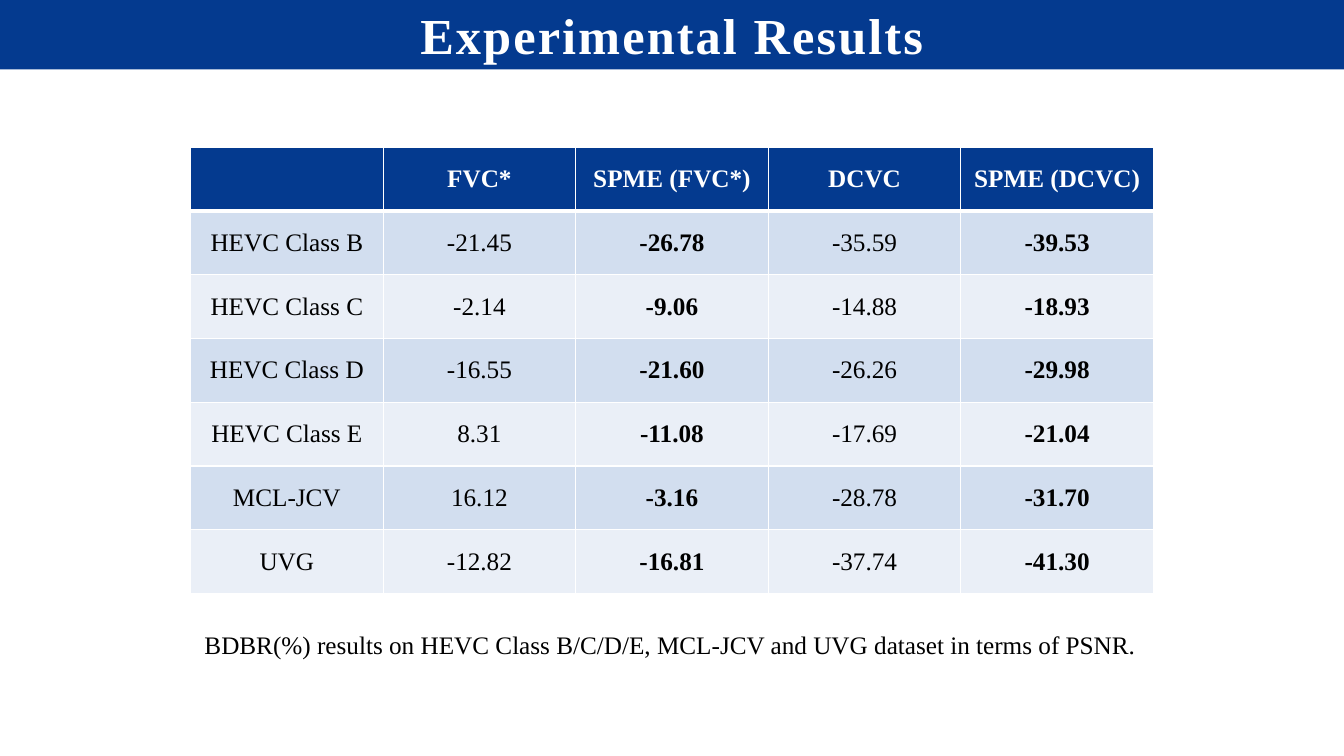
from dataclasses import dataclass

from lxml import etree
from pptx import Presentation
from pptx.dml.color import RGBColor
from pptx.enum.shapes import MSO_SHAPE
from pptx.enum.text import MSO_ANCHOR, MSO_AUTO_SIZE, PP_ALIGN
from pptx.oxml.ns import qn
from pptx.util import Inches, Pt

RECTANGLE = MSO_SHAPE.RECTANGLE
MIDDLE = MSO_ANCHOR.MIDDLE
CENTER, LEFT = PP_ALIGN.CENTER, PP_ALIGN.LEFT
GROW = MSO_AUTO_SIZE.SHAPE_TO_FIT_TEXT

FONT = "Times New Roman"
NAVY, WHITE, BLACK = "043A8F", "FFFFFF", "000000"
BANDS = ("D2DEEF", "EAEFF7")

# Slide and table grid, in inches
SLIDE_WIDTH, SLIDE_HEIGHT = 13.33, 7.5
COLUMN, ROW = 1.91, 4.43 / 7
TABLE_TOP = 1.46

HEADINGS = ("", "FVC*", "SPME (FVC*)", "DCVC", "SPME (DCVC)")
BOLD_COLUMNS = (2, 4)


@dataclass(frozen=True)
class Result:
    dataset: str
    rates: tuple[str, str, str, str]


@dataclass(frozen=True)
class TextStyle:
    size: int
    color: str
    bold: bool = False
    spacing: float = 0


RESULTS = (
    Result("HEVC Class B", ("-21.45", "-26.78", "-35.59", "-39.53")),
    Result("HEVC Class C", ("-2.14", "-9.06", "-14.88", "-18.93")),
    Result("HEVC Class D", ("-16.55", "-21.60", "-26.26", "-29.98")),
    Result("HEVC Class E", ("8.31", "-11.08", "-17.69", "-21.04")),
    Result("MCL-JCV", ("16.12", "-3.16", "-28.78", "-31.70")),
    Result("UVG", ("-12.82", "-16.81", "-37.74", "-41.30")),
)


def paint(fill, color: str) -> None:
    fill.solid()
    fill.fore_color.rgb = RGBColor.from_string(color)


def write(frame, text: str, style: TextStyle, alignment=CENTER) -> None:
    paragraph = frame.paragraphs[0]
    paragraph.alignment = alignment
    run = paragraph.add_run()
    run.text = text
    run.font.name = FONT
    run.font.size = Pt(style.size)
    run.font.bold = style.bold
    run.font.color.rgb = RGBColor.from_string(style.color)
    if style.spacing:
        run._r.get_or_add_rPr().set("spc", str(round(style.spacing * 100)))


def add_borders(cell, top: float, bottom: float) -> None:
    """Draw white borders; the line elements must precede the cell fill."""
    properties = cell._tc.get_or_add_tcPr()
    widths = {"a:lnL": 1, "a:lnR": 1, "a:lnT": top, "a:lnB": bottom}
    for position, (tag, width) in enumerate(widths.items()):
        line = etree.Element(qn(tag), w=str(Pt(width)))
        fill = etree.SubElement(line, qn("a:solidFill"))
        etree.SubElement(fill, qn("a:srgbClr"), val=WHITE)
        properties.insert(position, line)


def add_title_bar(slide) -> None:
    bar = slide.shapes.add_shape(
        RECTANGLE, 0, Inches(-0.01), Inches(SLIDE_WIDTH), Inches(0.7))
    bar.shadow.inherit = False
    paint(bar.fill, NAVY)
    bar.line.fill.background()
    frame = bar.text_frame
    frame.word_wrap = True
    frame.auto_size = GROW
    frame.vertical_anchor = MIDDLE
    frame.margin_left = frame.margin_right = Inches(0.05)
    frame.margin_top = frame.margin_bottom = Inches(0.05)
    write(frame, "Experimental Results", TextStyle(36, WHITE, True, 1.5))


def add_results_table(slide) -> None:
    rows = [HEADINGS] + [(result.dataset, *result.rates) for result in RESULTS]
    width, height = COLUMN * len(HEADINGS), ROW * len(rows)
    table = slide.shapes.add_table(
        len(rows), len(HEADINGS), Inches((SLIDE_WIDTH - width) / 2),
        Inches(TABLE_TOP), Inches(width), Inches(height)).table
    for row_index, values in enumerate(rows):
        header = row_index == 0
        for column_index, value in enumerate(values):
            cell = table.cell(row_index, column_index)
            cell.vertical_anchor = MIDDLE
            paint(cell.fill, NAVY if header else BANDS[(row_index - 1) % 2])
            add_borders(cell, top=3 if row_index == 1 else 1,
                        bottom=3 if header else 1)
            if value:
                bold = header or column_index in BOLD_COLUMNS
                write(cell.text_frame, value,
                      TextStyle(18, WHITE if header else BLACK, bold))


def add_caption(slide) -> None:
    width = 9.47
    box = slide.shapes.add_textbox(
        Inches((SLIDE_WIDTH - width) / 2), Inches(6.19), Inches(width), Inches(0.4))
    box.text_frame.word_wrap = True
    box.text_frame.auto_size = GROW
    write(box.text_frame,
          "BDBR(%) results on HEVC Class B/C/D/E, MCL-JCV and UVG dataset "
          "in terms of PSNR.", TextStyle(18, BLACK), LEFT)


def main() -> None:
    presentation = Presentation()
    presentation.slide_width = Inches(SLIDE_WIDTH)
    presentation.slide_height = Inches(SLIDE_HEIGHT)
    slide = presentation.slides.add_slide(presentation.slide_layouts[6])
    # Title, table and caption, from top to bottom
    add_title_bar(slide)
    add_results_table(slide)
    add_caption(slide)
    presentation.save("out.pptx")


if __name__ == "__main__":
    main()
